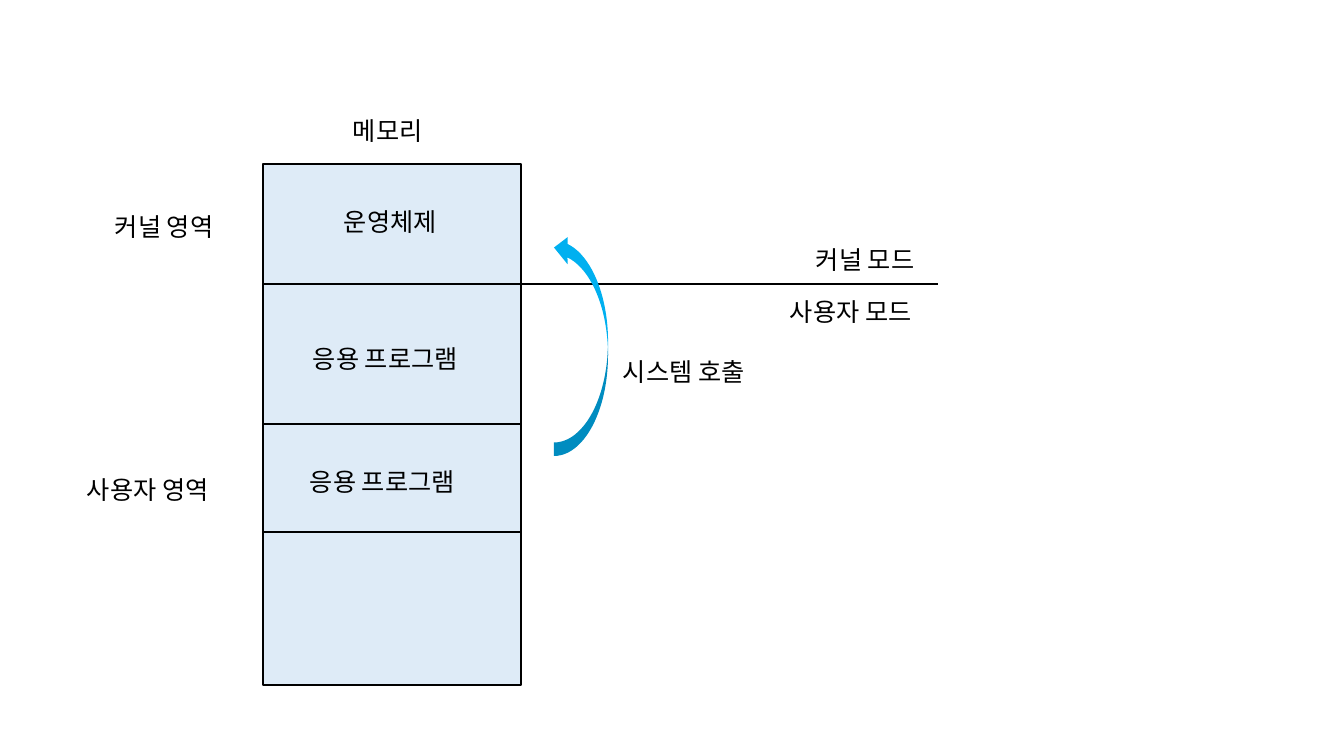
from lxml import etree
from pptx import Presentation
from pptx import util as u
from pptx.dml.color import RGBColor
from pptx.enum import shapes, text
from pptx.oxml import ns

PX = 914400 / 100.8
FONT = "Noto Sans CJK KR"
BLACK = RGBColor(0x00, 0x00, 0x00)
PALE_BLUE = RGBColor(0xDE, 0xEB, 0xF7)
SKY_BLUE = RGBColor(0x00, 0xB0, 0xF0)


def emu(*pixels):
    """Turn pixel lengths into EMU."""
    return [u.Emu(round(p * PX)) for p in pixels]


def add_label(slide, wording, left, top, width):
    """Write one line of 18 pt text."""
    label = slide.shapes.add_textbox(*emu(left, top, width, 40))
    frame = label.text_frame
    frame.word_wrap = True
    frame.auto_size = text.MSO_AUTO_SIZE.SHAPE_TO_FIT_TEXT
    frame.text = wording
    font = frame.paragraphs[0].runs[0].font
    font.size, font.name = u.Pt(18), FONT
    font.color.rgb = BLACK
    east_asian = etree.SubElement(font._element, ns.qn("a:ea"))
    east_asian.set("typeface", FONT)


def add_divider(slide, left, top, width):
    """Draw a horizontal black line."""
    divider = slide.shapes.add_connector(
        shapes.MSO_CONNECTOR.STRAIGHT, *emu(left, top, left + width, top))
    divider.line.color.rgb = BLACK
    divider.line.width = u.Pt(1.5)
    etree.SubElement(divider._element.spPr, ns.qn("a:effectLst"))


def add_filled(slide, preset, box, colour):
    """Draw a preset shape in one flat colour."""
    filled = slide.shapes.add_shape(preset, *emu(*box))
    filled.shadow.inherit = False
    filled.fill.solid()
    filled.fill.fore_color.rgb = colour
    return filled


def draw_memory(slide, box):
    """Draw the memory block with its sections and area names."""
    left, top, width, _ = box
    memory = add_filled(slide, shapes.MSO_SHAPE.RECTANGLE, box, PALE_BLUE)
    memory.line.color.rgb = BLACK
    memory.line.width = u.Pt(1.5)
    for section_end in (120, 260, 368):
        add_divider(slide, left, top + section_end, width)
    for wording, dx, dy, label_width in (
            ("메모리", 80, -54, 101),
            ("커널 영역", -158, 42, 167),
            ("사용자 영역", -186, 305, 167),
            ("운영체제", 71, 37, 126),
            ("응용 프로그램", 40, 174, 192),
            ("응용 프로그램", 37, 297, 192)):
        add_label(slide, wording, left + dx, top + dy, label_width)


def draw_modes(slide, box):
    """Draw the boundary between kernel mode and user mode."""
    left, top, width, height = box
    add_divider(slide, left, top + height // 2, width)
    add_label(slide, "커널 모드", left + 285, top, 167)
    add_label(slide, "사용자 모드", left + 259, top + 52, 167)


def draw_system_call(slide, box):
    """Draw the curved arrow from user area to kernel area."""
    left, top, width, height = box
    call = add_filled(slide, shapes.MSO_SHAPE.CURVED_RIGHT_ARROW, box, SKY_BLUE)
    call.rotation = 180
    call.line.fill.background()
    add_label(slide, "시스템 호출", left + width + 5, top + 117, 167)


def main():
    """Build the slide and save it."""
    deck = Presentation()
    deck.slide_width, deck.slide_height = emu(1344, 756)
    slide = deck.slides.add_slide(deck.slide_layouts[6])
    draw_memory(slide, (263, 164, 258, 521))
    draw_modes(slide, (521, 239, 417, 90))
    draw_system_call(slide, (554, 234, 54, 222))
    deck.save("out.pptx")


main()
